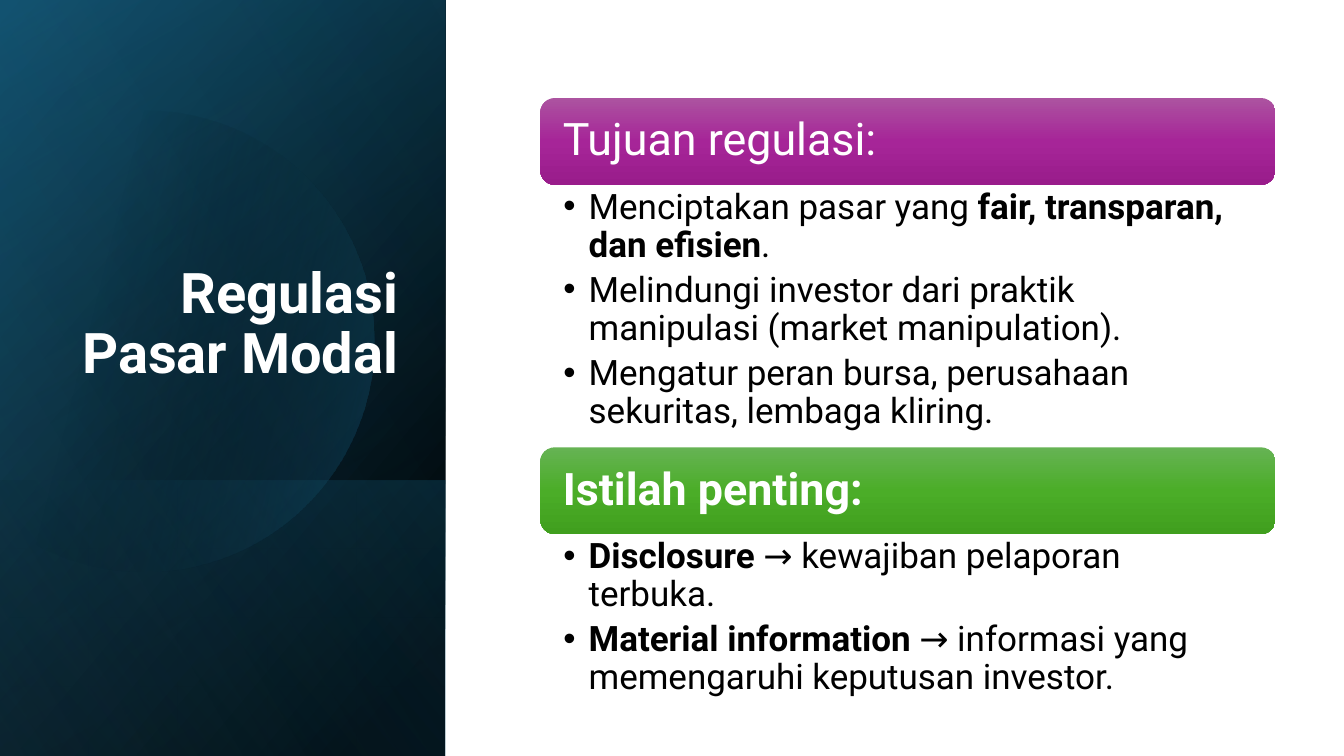
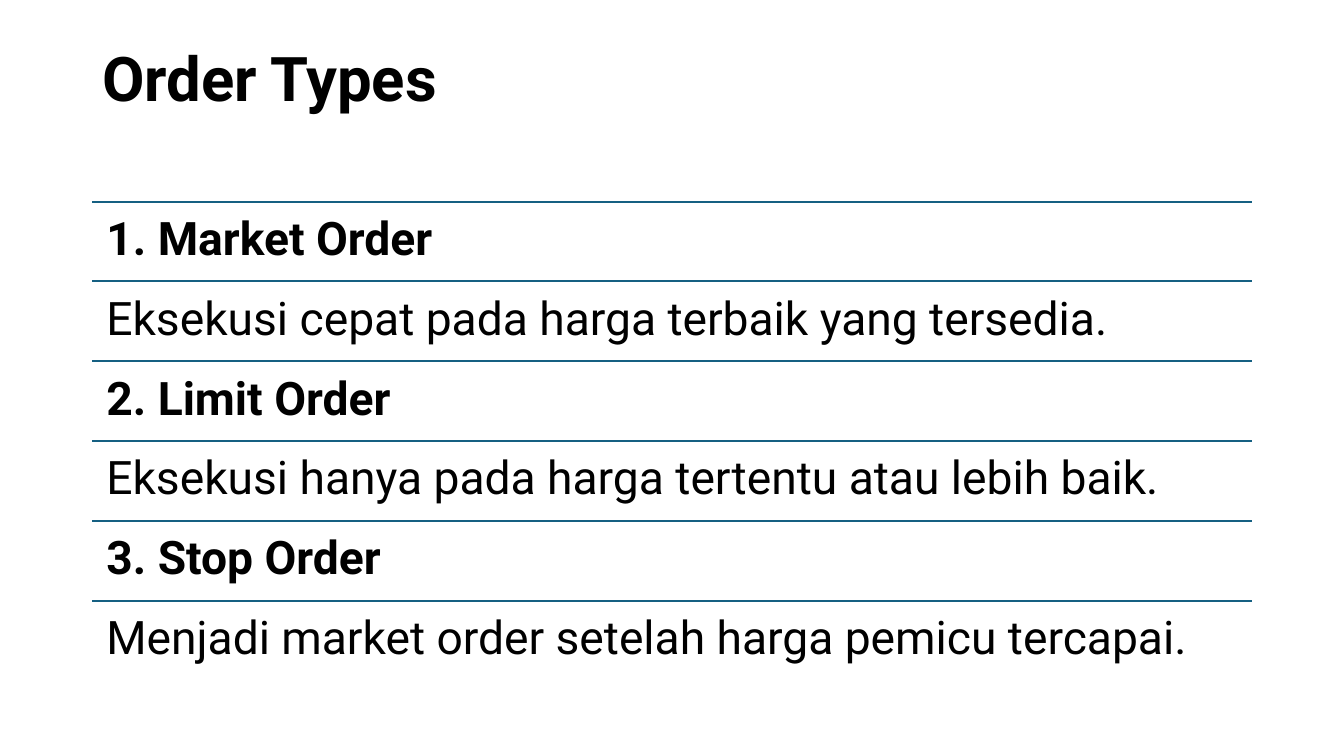
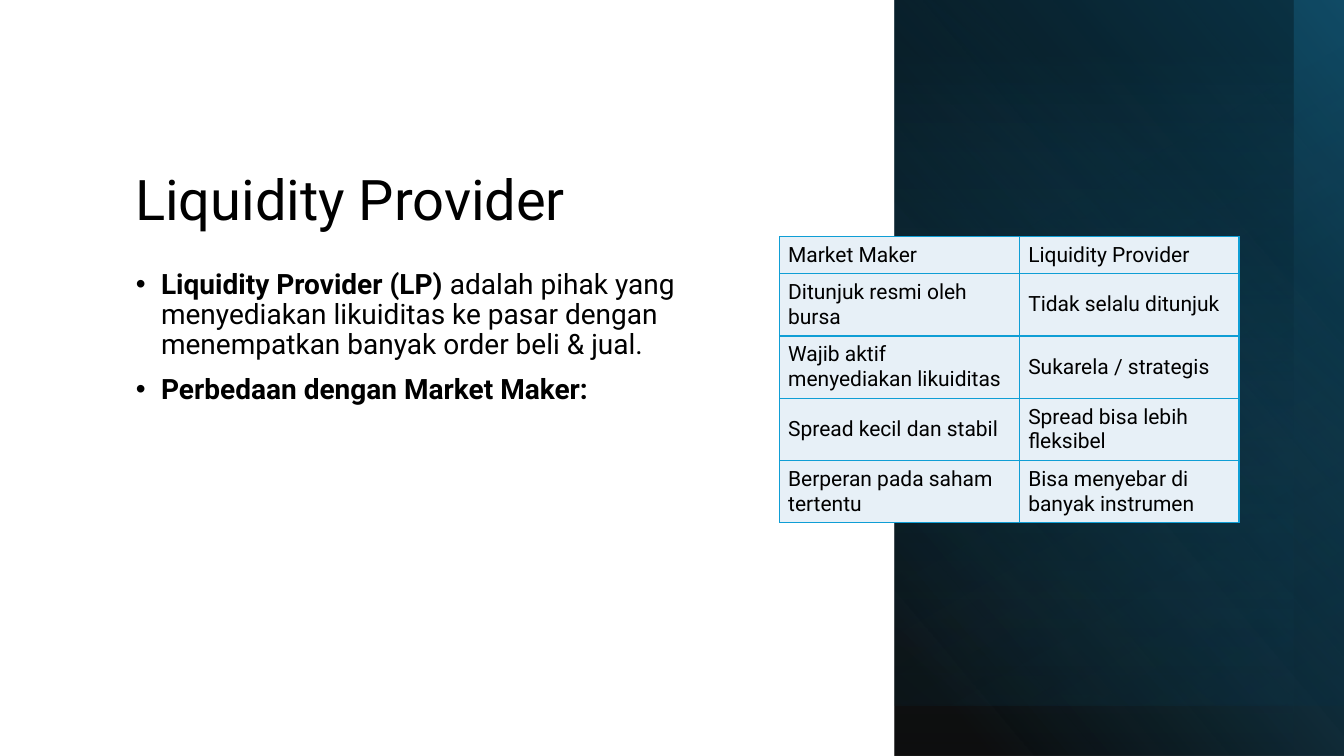
from math import acos, cos, sin

from lxml.etree import SubElement
from pptx import Presentation
from pptx.dml.color import RGBColor
from pptx.enum.shapes import MSO_CONNECTOR, MSO_SHAPE as SHAPE
from pptx.enum.text import MSO_ANCHOR as ANCHOR, PP_ALIGN as ALIGN
from pptx.oxml import parse_xml
from pptx.oxml.ns import nsdecls, qn
from pptx.util import Pt

WIDTH, HEIGHT = 960, 540
FONT = "Roboto"
BLACK = RGBColor(0x00, 0x00, 0x00)
WHITE = RGBColor(0xFF, 0xFF, 0xFF)
TEAL = RGBColor(0x15, 0x60, 0x82)
DEEP_TEAL = RGBColor(0x10, 0x48, 0x62)
NAVY = RGBColor(0x0B, 0x30, 0x41)
SKY = RGBColor(0x46, 0xB1, 0xE1)
BORDER = RGBColor(0x0F, 0x9E, 0xD5)
PALE_BLUE = RGBColor(0xE7, 0xF0, 0xF7)
PURPLES = [RGBColor(0xAC, 0x53, 0xA0), RGBColor(0xA6, 0x25, 0x98), RGBColor(0x99, 0x1C, 0x8B)]
GREENS = [RGBColor(0x66, 0xB3, 0x54), RGBColor(0x4B, 0xAD, 0x28), RGBColor(0x40, 0x9F, 0x1E)]
INSETS = (7.2, 3.6, 7.2, 3.6)


class Deck:
    """Holds the shared style and the current slide, and draws each kind of element."""

    def __init__(self):
        self.deck = Presentation()
        self.deck.slide_width, self.deck.slide_height = Pt(WIDTH), Pt(HEIGHT)
        self.page = None

    def new_page(self):
        self.page = self.deck.slides.add_slide(self.deck.slide_layouts[6])

    def gradient(self, shape, stops, angle):
        shape.shadow.inherit = False
        shape.fill.background()
        shape.line.fill.background()
        marks = "".join(
            f'<a:gs pos="{place * 1000}"><a:srgbClr val="{color}">'
            f'<a:alpha val="{alpha * 1000}"/></a:srgbClr></a:gs>'
            for place, color, alpha in stops)
        properties = shape._element.spPr
        properties.replace(properties.find(qn("a:noFill")), parse_xml(
            f'<a:gradFill {nsdecls("a")} rotWithShape="1"><a:gsLst>{marks}</a:gsLst>'
            f'<a:lin ang="{angle * 60000}" scaled="0"/></a:gradFill>'))

    def panel(self, left, top, width, height, turn, stops, angle):
        if turn == 90:
            left, top = left + (width - height) / 2, top + (height - width) / 2
            width, height = height, width
        shape = self.page.shapes.add_shape(
            SHAPE.RECTANGLE, Pt(left), Pt(top), Pt(width), Pt(height))
        shape.rotation = turn
        shape._element.spPr.xfrm.set("flipH", "1")
        self.gradient(shape, stops, angle)

    def cut_circle(self, center_x, center_y, radius, stops, angle):
        limit, steps = acos(-center_x / radius), 90
        turns = [limit * (2 * step / steps - 1) for step in range(steps + 1)]
        points = [(Pt(center_x + radius * cos(turn)), Pt(center_y + radius * sin(turn)))
                  for turn in turns]
        builder = self.page.shapes.build_freeform(*points[0])
        builder.add_line_segments(points[1:], close=True)
        self.gradient(builder.convert_to_shape(), stops, angle)

    def fill_frame(self, frame, paragraphs, size, color=BLACK, bullet=False, insets=INSETS,
                   anchor=ANCHOR.TOP, **layout):
        sides = dict(zip(("left", "top", "right", "bottom"), insets))
        for side, inset in sides.items():
            setattr(frame, f"margin_{side}", Pt(inset))
        frame.word_wrap, frame.vertical_anchor = True, anchor
        layout = {"alignment": ALIGN.LEFT, "line_spacing": 0.9, **layout}
        for index, spans in enumerate(paragraphs):
            para = frame.add_paragraph() if index else frame.paragraphs[0]
            for name, value in layout.items():
                setattr(para, name, value)
            if bullet:
                properties = para._p.get_or_add_pPr()
                properties.set("marL", str(Pt(18)))
                properties.set("indent", str(-Pt(18)))
                SubElement(properties, qn("a:buFont"), typeface="Arial")
                SubElement(properties, qn("a:buChar"), char="•")
            for text, bold in spans:
                span = para.add_run()
                span.text = text
                span.font.color.rgb = color
                for name, value in {"name": FONT, "size": Pt(size), "bold": bold}.items():
                    setattr(span.font, name, value)

    def text(self, left, top, width, height, paragraphs, size, **style):
        box = self.page.shapes.add_textbox(Pt(left), Pt(top), Pt(width), Pt(height))
        self.fill_frame(box.text_frame, paragraphs, size, **style)

    def title(self, left, top, width, height, text, size=40, bold=True, **style):
        self.text(left, top, width, height, [[(text, bold)]], size, **style)

    def header(self, left, top, width, height, text, bold, colors):
        shape = self.page.shapes.add_shape(
            SHAPE.ROUNDED_RECTANGLE, Pt(left), Pt(top), Pt(width), Pt(height))
        stops = [(place, color, 100) for place, color in zip((0, 50, 100), colors)]
        self.gradient(shape, stops, 90)
        self.fill_frame(shape.text_frame, [[(text, bold)]], 32, color=WHITE,
                        anchor=ANCHOR.MIDDLE, insets=(13, 9, 13, 9))

    def rule(self, left, top, width):
        line = self.page.shapes.add_connector(
            MSO_CONNECTOR.STRAIGHT, Pt(left), Pt(top), Pt(left + width), Pt(top))
        line.line.color.rgb = TEAL
        line.line.width = Pt(1.5)
        SubElement(line._element.spPr, qn("a:effectLst"))

    def table(self, left, top, widths, heights, rows, size):
        table = self.page.shapes.add_table(
            len(rows), len(widths), Pt(left), Pt(top), Pt(sum(widths)), Pt(sum(heights))).table
        table.first_row = table.horz_banding = False
        for column, width in zip(table.columns, widths):
            column.width = Pt(width)
        for row, height, texts in zip(table.rows, heights, rows):
            row.height = Pt(height)
            for cell, text in zip(row.cells, texts):
                self.cell(cell, text, size)

    def cell(self, cell, text, size):
        self.fill_frame(cell.text_frame, [[(text, False)]], size, line_spacing=1.0)
        cell.vertical_anchor = ANCHOR.MIDDLE
        sides = dict(zip(("left", "top", "right", "bottom"), (6, 3, 6, 3)))
        for side, inset in sides.items():
            setattr(cell, f"margin_{side}", Pt(inset))
        properties = cell._tc.get_or_add_tcPr()
        for side in "LRTB":
            properties.append(parse_xml(
                f'<a:ln{side} {nsdecls("a")} w="{Pt(1)}"><a:solidFill>'
                f'<a:srgbClr val="{BORDER}"/></a:solidFill></a:ln{side}>'))
        cell.fill.solid()
        cell.fill.fore_color.rgb = PALE_BLUE


def regulation(deck):
    deck.new_page()
    side = (0, 0, 318, HEIGHT, 90)
    deck.panel(*side, [(8, BLACK, 100), (100, DEEP_TEAL, 100)], 50)
    deck.panel(*side, [(0, BLACK, 0), (99, TEAL, 46)], 30)
    deck.panel(0, 343, 318, 197, 90, [(2, TEAL, 29), (100, BLACK, 30)], 130)
    deck.cut_circle(103, 243.5, 164.5, [(29, BLACK, 0), (100, TEAL, 43)], 14)
    deck.panel(*side, [(0, BLACK, 0), (99, SKY, 11)], 120)
    deck.title(46, 132, 245.5, 147, "Regulasi Pasar Modal", color=WHITE,
               anchor=ANCHOR.BOTTOM, alignment=ALIGN.RIGHT)
    goals = [
        [("Menciptakan pasar yang ", False), ("fair, transparan, dan efisien", True), (".", False)],
        [("Melindungi investor dari praktik manipulasi (market manipulation).", False)],
        [("Mengatur peran bursa, perusahaan sekuritas, lembaga kliring.", False)],
    ]
    terms = [
        [("Disclosure", True), (" → kewajiban pelaporan terbuka.", False)],
        [("Material information", True),
         (" → informasi yang memengaruhi keputusan investor.", False)],
    ]
    left, width, bar = 386, 525, 62
    sections = [(70, "Tujuan regulasi:", False, PURPLES, goals, 188),
                (319.5, "Istilah penting:", True, GREENS, terms, 96)]
    for top, heading, bold, colors, points, height in sections:
        deck.header(left, top, width, bar, heading, bold, colors)
        deck.text(left, top + bar, width, height, points, 25, bullet=True,
                  insets=(16.5, 3, 18, 3), space_after=Pt(5.4))


def order_types(deck):
    deck.new_page()
    left, width, top, step = 66, 828, 144, 57
    deck.title(left, 29, width, 58, "Order Types", size=44, anchor=ANCHOR.MIDDLE)
    orders = [
        ("1. Market Order", "Eksekusi cepat pada harga terbaik yang tersedia."),
        ("2. Limit Order", "Eksekusi hanya pada harga tertentu atau lebih baik."),
        ("3. Stop Order", "Menjadi market order setelah harga pemicu tercapai."),
    ]
    lines = [(text, text is name) for name, meaning in orders for text in (name, meaning)]
    for index, line in enumerate(lines):
        row_top = top + index * step
        deck.rule(left, row_top, width)
        deck.text(left, row_top, width, step, [[line]], 33, insets=(10, 10, 10, 10))


def liquidity_provider(deck):
    deck.new_page()
    deck.title(89.5, 39.5, 419, 130, "Liquidity Provider", bold=False, anchor=ANCHOR.BOTTOM)
    points = [
        [("Liquidity Provider (LP)", True),
         (" adalah pihak yang menyediakan likuiditas ke pasar dengan "
          "menempatkan banyak order beli & jual.", False)],
        [("Perbedaan dengan Market Maker:", True)],
    ]
    deck.text(90, 189.5, 418, 279, points, 20, bullet=True, space_before=Pt(10))
    left, width = 639, 321
    deck.panel(left, 0, width, HEIGHT, 180, [(8, BLACK, 94), (100, TEAL, 100)], 40)
    deck.panel(left, 0, width, 504, 180, [(31, NAVY, 0), (100, NAVY, 26)], 300)
    deck.panel(left, 0, width, 504, 180, [(0, TEAL, 0), (72, BLACK, 21)], 50)
    deck.panel(left, 0, 285, HEIGHT, 180, [(0, TEAL, 0), (93, BLACK, 29)], 90)
    rows = [
        ("Market Maker", "Liquidity Provider"),
        ("Ditunjuk resmi oleh bursa", "Tidak selalu ditunjuk"),
        ("Wajib aktif menyediakan likuiditas", "Sukarela / strategis"),
        ("Spread kecil dan stabil", "Spread bisa lebih fleksibel"),
        ("Berperan pada saham tertentu", "Bisa menyebar di banyak instrumen"),
    ]
    deck.table(557, 169, [171.5, 156.5], [26.5] + [44.5] * 4, rows, 15)


def main():
    deck = Deck()
    for build in (regulation, order_types, liquidity_provider):
        build(deck)
    deck.deck.save("out.pptx")


if __name__ == "__main__":
    main()
